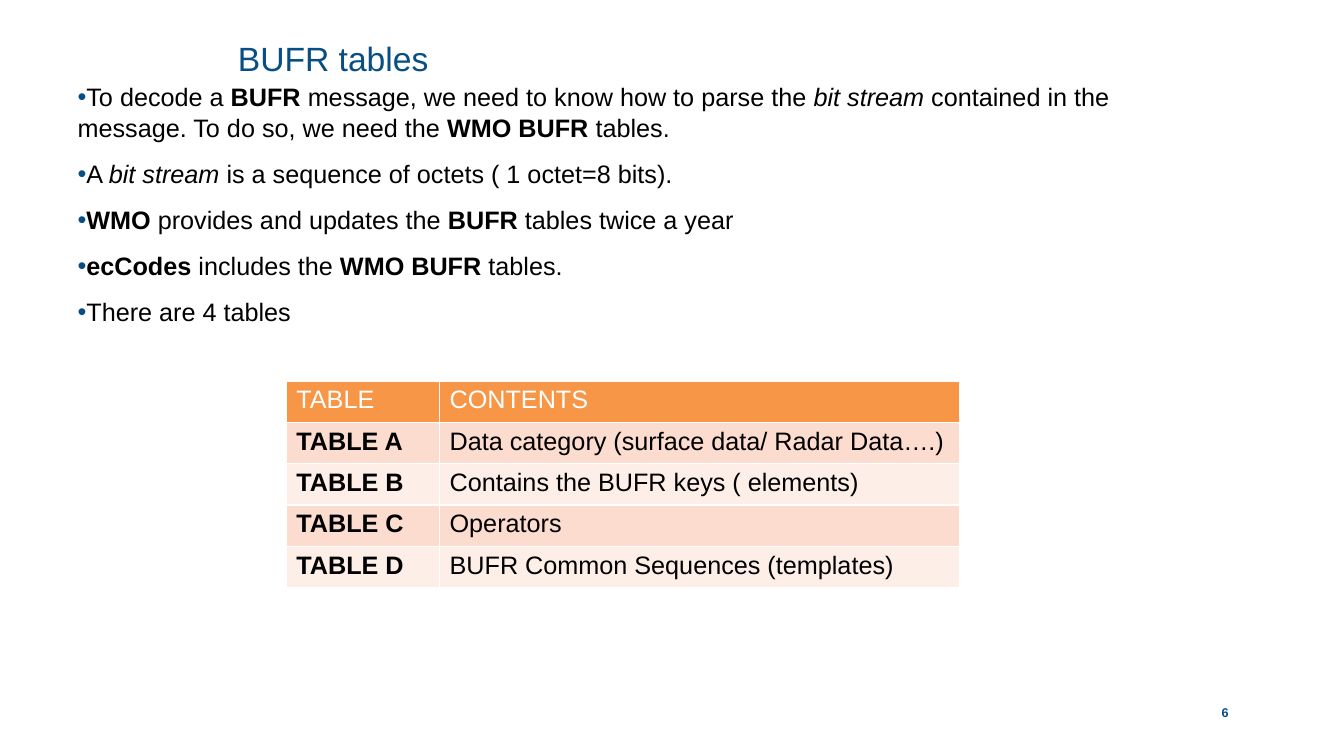
from pptx import Presentation
from pptx.dml.color import RGBColor as Rgb
from pptx.enum.text import MSO_ANCHOR as Anchor, MSO_AUTO_SIZE as Auto, PP_ALIGN as Align
from pptx.oxml import parse_xml
from pptx.oxml.ns import nsdecls
from pptx.util import Inches, Pt

HUES = {"blue": "064E83", "black": "000000", "white": "FFFFFF",
        "head": "F79646", "odd": "FBDCCF", "even": "FDEEE8"}
BOLD = {"bold": True}
ITAL = {"italic": True}
POINTS = [
    [("To decode a ", {}), ("BUFR", BOLD),
     (" message, we need to know how to parse the ", {}), ("bit stream ", ITAL),
     ("contained in the message. To do so, we need the ", {}),
     ("WMO BUFR ", BOLD), ("tables.", {})],
    [("A ", {}), ("bit stream ", ITAL),
     ("is a sequence of octets ( 1 octet=8 bits).", {})],
    [("WMO", BOLD), (" provides and updates the ", {}), ("BUFR", BOLD),
     (" tables twice a year", {})],
    [("ecCodes ", BOLD), ("includes the ", {}), ("WMO BUFR ", BOLD), ("tables.", {})],
    [("There are 4 tables", {})],
]
ROWS = [
    ("TABLE", "CONTENTS"),
    ("TABLE A", "Data category (surface data/ Radar Data….)"),
    ("TABLE B", "Contains the BUFR keys ( elements)"),
    ("TABLE C", "Operators"),
    ("TABLE D", "BUFR Common Sequences (templates)"),
]


def write(para, text, size=18, hue="black", bold=False, italic=False):
    """Add a run of formatted text to a paragraph."""
    run = para.add_run()
    run.text = text
    font = run.font
    font.name, font.size = "Arial", Pt(size)
    font.bold, font.italic = bold, italic
    font.color.rgb = Rgb.from_string(HUES[hue])


class Deck:
    """Hold the style and the current slide."""

    def __init__(self):
        """Start a wide deck with one title and content slide."""
        self.show = Presentation()
        self.show.slide_width, self.show.slide_height = Inches(13.33), Inches(7.5)
        self.slide = self.show.slides.add_slide(self.show.slide_layouts[1])

    def frame(self, shape, box, anchor=Anchor.TOP):
        """Place a shape and return its text frame without margins."""
        shape.left, shape.top, shape.width, shape.height = map(Inches, box)
        frame = shape.text_frame
        frame.word_wrap, frame.auto_size = True, Auto.NONE
        frame.vertical_anchor = anchor
        frame.margin_left = frame.margin_right = 0
        frame.margin_top = frame.margin_bottom = 0
        return frame

    def title(self, text, box):
        """Fill the title placeholder."""
        para = self.frame(self.slide.shapes.title, box).paragraphs[0]
        para.alignment, para.line_spacing = Align.LEFT, Pt(28)
        write(para, text, size=24, hue="blue")

    def bullet(self, para):
        """Give a paragraph a blue bullet."""
        props = para._p.get_or_add_pPr()
        props.set("marL", "0")
        props.set("indent", str(-Inches(0.2)))
        for tag in (f'<a:buClr {nsdecls("a")}><a:srgbClr val="{HUES["blue"]}"/></a:buClr>',
                    f'<a:buFont {nsdecls("a")} typeface="Arial"/>',
                    f'<a:buChar {nsdecls("a")} char="•"/>'):
            props.append(parse_xml(tag))

    def points(self, items, box):
        """Fill the body placeholder with a bulleted list."""
        frame = self.frame(self.slide.placeholders[1], box)
        for num, item in enumerate(items):
            para = frame.add_paragraph() if num else frame.paragraphs[0]
            self.bullet(para)
            para.line_spacing = Pt(22)
            para.space_before = Pt(11 if num else 0)
            para.alignment = Align.LEFT
            for text, look in item:
                write(para, text, **look)

    def number(self, text, box):
        """Add the page number."""
        shape = self.slide.shapes.add_textbox(*map(Inches, box))
        para = self.frame(shape, box, Anchor.BOTTOM).paragraphs[0]
        para.alignment = Align.CENTER
        write(para, text, size=9, hue="blue", bold=True)

    def edge(self, cell):
        """Draw thin white borders round a cell."""
        props = cell._tc.get_or_add_tcPr()
        for spot, side in enumerate("LRTB"):
            props.insert(spot, parse_xml(
                f'<a:ln{side} {nsdecls("a")} w="{Pt(0.96)}"><a:solidFill>'
                f'<a:srgbClr val="{HUES["white"]}"/></a:solidFill></a:ln{side}>'))

    def table(self, rows, left, top, wides, high):
        """Add a banded table with a header row."""
        grid = self.slide.shapes.add_table(
            len(rows), len(wides), Inches(left), Inches(top),
            Inches(sum(wides)), Inches(high * len(rows))).table
        for col, wide in zip(grid.columns, wides):
            col.width = Inches(wide)
        for y, row in enumerate(rows):
            grid.rows[y].height = Inches(high)
            fill = ("odd" if y % 2 else "even") if y else "head"
            for x, text in enumerate(row):
                cell = grid.cell(y, x)
                cell.fill.solid()
                cell.fill.fore_color.rgb = Rgb.from_string(HUES[fill])
                self.edge(cell)
                write(cell.text_frame.paragraphs[0], text,
                      hue="black" if y else "white", bold=y > 0 and x == 0)


def main():
    """Build the slide and save it."""
    deck = Deck()
    deck.title("BUFR tables", (2.36, 0.39, 8.61, 0.4))
    deck.points(POINTS, (0.77, 0.8, 11.11, 5.68))
    deck.number("6", (10.97, 6.9, 2.36, 0.24))
    deck.table(ROWS, 2.84, 3.78, (1.52, 5.16), 0.41)
    deck.show.save("out.pptx")


if __name__ == "__main__":
    main()
